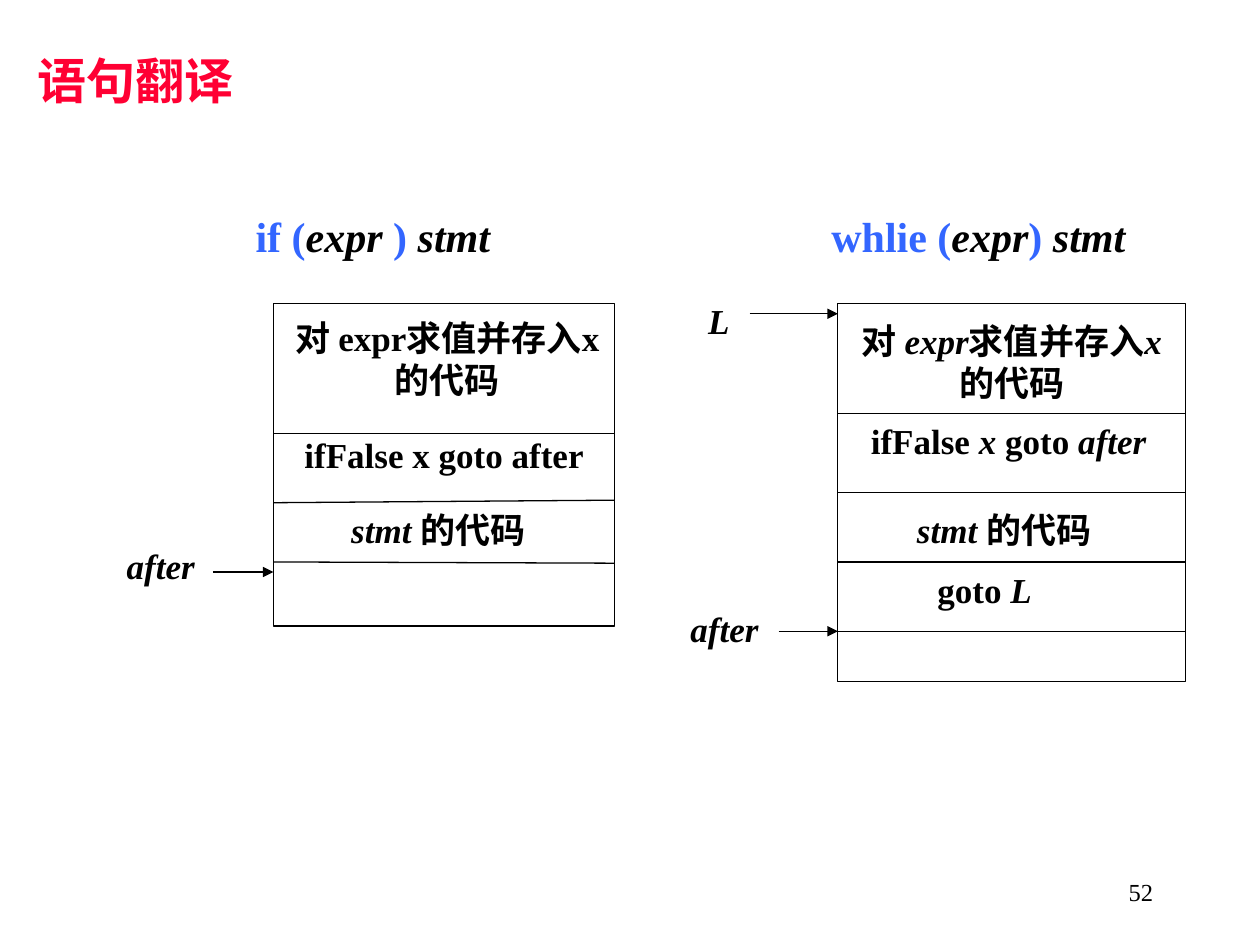
from lxml import etree
from pptx import Presentation
from pptx import util as u
from pptx.dml.color import RGBColor
from pptx.enum import shapes, text
from pptx.oxml.ns import qn

PX = 9144
COLORS = {"title": "FF0033", "keyword": "3366FF", "ink": "000000"}
LEFT, CENTER, RIGHT = text.PP_ALIGN.LEFT, text.PP_ALIGN.CENTER, text.PP_ALIGN.RIGHT


class TranslationSlide:
    """Draws code layout diagrams on one slide, with lengths in hundredths of an inch."""

    def __init__(self, slide, font="Times New Roman", line_width=0.75):
        self.slide = slide
        self.font = font
        self.line_width = u.Pt(line_width)

    def label(self, box, parts, size=20, align=CENTER, bold=True, font=None,
              anchor=text.MSO_ANCHOR.TOP):
        area = self.slide.shapes.add_textbox(*(n * PX for n in box))
        frame = area.text_frame
        frame.word_wrap = True
        frame.vertical_anchor = anchor
        paragraph = frame.paragraphs[0]
        paragraph.alignment = align
        for wording, color, italic in parts:
            run = paragraph.add_run()
            run.text = wording
            run.font.name = font or self.font
            run.font.size = u.Pt(size)
            run.font.bold = bold
            run.font.italic = italic
            run.font.color.rgb = RGBColor.from_string(COLORS[color])

    def style_line(self, line):
        line.color.rgb = RGBColor.from_string(COLORS["ink"])
        line.width = self.line_width

    def frame(self, box):
        outline = self.slide.shapes.add_shape(
            shapes.MSO_SHAPE.RECTANGLE, *(n * PX for n in box))
        outline.shadow.inherit = False
        outline.fill.background()
        self.style_line(outline.line)

    def line(self, x1, y1, x2, y2, arrow=False):
        rule = self.slide.shapes.add_connector(
            shapes.MSO_CONNECTOR.STRAIGHT, *(n * PX for n in (x1, y1, x2, y2)))
        self.style_line(rule.line)
        if arrow:
            etree.SubElement(rule.line._get_or_add_ln(), qn("a:tailEnd"), type="triangle")
        etree.SubElement(rule._element.spPr, qn("a:effectLst"))

    def code_layout(self, box, dividers, labels, arrows):
        self.frame(box)
        left, _, width, _ = box
        for start, end in dividers:
            self.line(left, start, left + width, end)
        for area, parts in labels:
            self.label(area, parts)
        for start, y in arrows:
            self.line(start, y, left, y, arrow=True)


def plain(wording):
    return wording, "ink", False


def italic(wording):
    return wording, "ink", True


def keyword(wording):
    return wording, "keyword", False


def main():
    deck = Presentation()
    deck.slide_width, deck.slide_height = u.Inches(10), u.Inches(7.5)
    page = TranslationSlide(deck.slides.add_slide(deck.slide_layouts[6]))
    middle = text.MSO_ANCHOR.MIDDLE

    page.label((20, 28, 189, 71), [("语句翻译", "title", False)], size=28,
               align=LEFT, font="Arial", anchor=middle)

    stmt_code = [italic("stmt "), plain("的代码")]
    after = [italic("after")]

    page.label((193, 162, 299, 50),
               [keyword("if ("), italic("expr "), keyword(") "), italic("stmt")],
               size=24, align=LEFT)
    page.code_layout(
        (217, 241, 271, 256),
        dividers=[(344, 344), (399, 397), (446, 447)],
        labels=[
            ((221, 246, 268, 77), [plain("对 expr求值并存入x的代码")]),
            ((217, 339, 271, 44), [plain("ifFalse x goto after")]),
            ((248, 399, 200, 44), stmt_code),
            ((40, 427, 175, 44), after),
        ],
        arrows=[(169, 454)])

    page.label((650, 162, 284, 50),
               [keyword("whlie ("), italic("expr"), keyword(") "), italic("stmt")],
               size=24, align=LEFT)
    page.code_layout(
        (665, 241, 276, 300),
        dividers=[(y, y) for y in (328, 391, 446, 501)],
        labels=[
            ((665, 249, 276, 77), [plain("对 "), italic("expr"), plain("求值并存入"),
                                   italic("x"), plain("的代码")]),
            ((665, 328, 271, 44), [plain("ifFalse "), italic("x"), plain(" goto "),
                                   italic("after")]),
            ((697, 399, 200, 44), stmt_code),
            ((673, 446, 217, 44), [plain("goto "), italic("L")]),
            ((539, 233, 63, 44), [italic("L")]),
            ((516, 477, 118, 44), after),
        ],
        arrows=[(595, 249), (618, 501)])

    page.label((717, 683, 208, 50), [plain("52")], size=14, align=RIGHT,
               bold=False, anchor=middle)
    deck.save("out.pptx")


if __name__ == "__main__":
    main()
